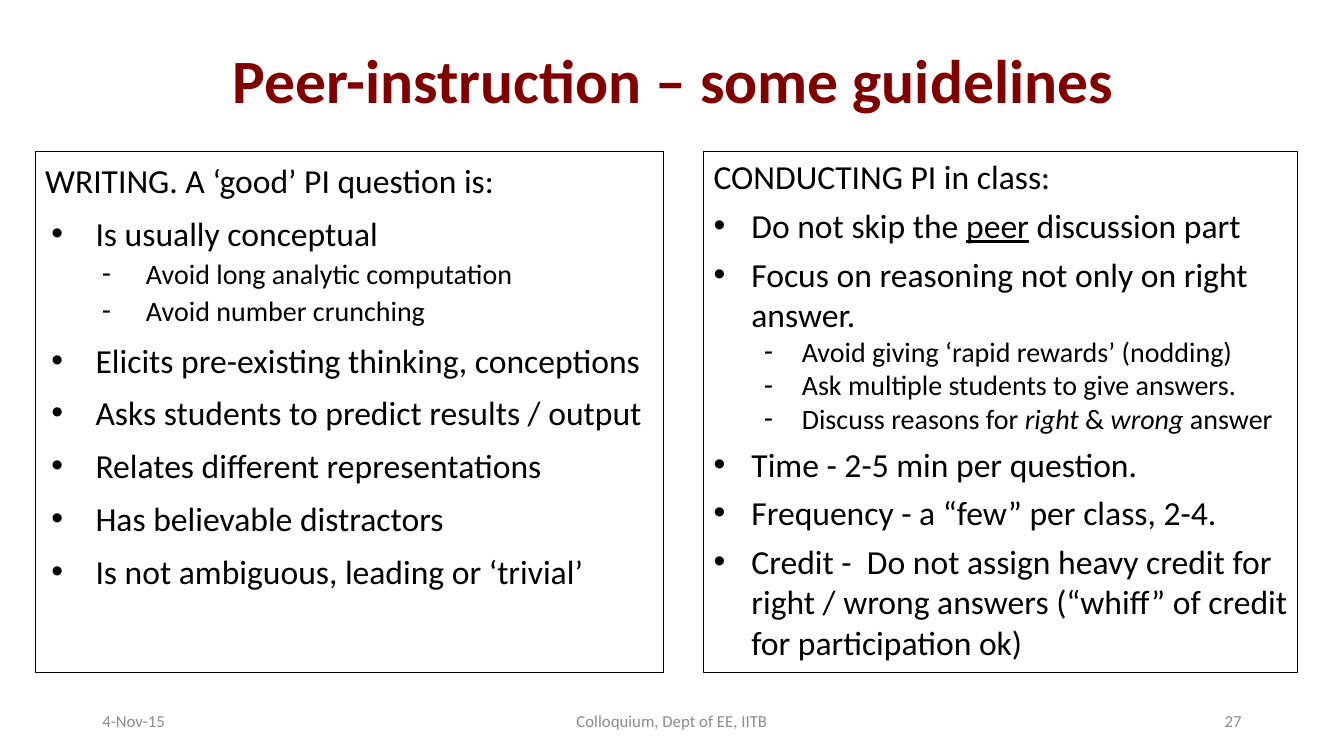
from lxml import etree
from pptx import Presentation
from pptx.dml.color import RGBColor
from pptx.enum.text import MSO_ANCHOR as Anchor, MSO_AUTO_SIZE as AutoSize, PP_ALIGN as Align
from pptx.oxml.ns import qn
from pptx.util import Pt

WRITING = [
    ("heading", "WRITING. A ‘good’ PI question is:"),
    ("bullet", "Is usually conceptual"),
    ("dash", "Avoid long analytic computation"),
    ("dash", "Avoid number crunching"),
    ("bullet", "Elicits pre-existing thinking, conceptions"),
    ("bullet", "Asks students to predict results / output"),
    ("bullet", "Relates different representations"),
    ("bullet", "Has believable distractors"),
    ("bullet", "Is not ambiguous, leading or ‘trivial’"),
]
CONDUCTING = [
    ("heading", "CONDUCTING PI in class:"),
    ("bullet", "Do not skip the ", ("peer", "underline"), " discussion part"),
    ("bullet", "Focus on reasoning not only on right answer."),
    ("dash", "Avoid giving ‘rapid rewards’ (nodding)"),
    ("dash", "Ask multiple students to give answers."),
    ("dash", "Discuss reasons for ", ("right", "italic"), " & ", ("wrong ", "italic"), "answer"),
    ("bullet", "Time - 2-5 min per question."),
    ("bullet", "Frequency - a “few” per class, 2-4."),
    ("bullet", "Credit -  Do not assign heavy credit for right / wrong answers "
               "(“whiff” of credit for participation ok)"),
]
# Each kind: level, left margin, first-line indent
WRITING_INDENTS = {"heading": (0, 18, -18), "bullet": (1, 36, -31.5), "dash": (3, 72, -31.5)}
CONDUCTING_INDENTS = {"heading": (0, 0, 0), "bullet": (0, 27, -27), "dash": (1, 63, -27)}
# Each kind: text size, space before, bullet character
KINDS = {"heading": (24, 0, None), "bullet": (24, 6, "•"), "dash": (20, 0, "-")}


def color(hex_text):
    return RGBColor.from_string(hex_text)


class GuidelinesSlide:
    font_name = "Calibri"
    ink, title_color, footer_color = "000000", "800000", "8C8C8C"

    def __init__(self, presentation):
        self.slide = presentation.slides.add_slide(presentation.slide_layouts[5])

    def style_run(self, run, size, hex_text):
        run.font.name = self.font_name
        run.font.size = Pt(size)
        run.font.color.rgb = color(hex_text)

    def place(self, shape, left, top, width, height):
        shape.left, shape.top = Pt(left), Pt(top)
        shape.width, shape.height = Pt(width), Pt(height)

    def title(self, text, *bounds):
        shape = self.slide.shapes.title
        self.place(shape, *bounds)
        shape.text_frame.text = text
        shape.text_frame.vertical_anchor = Anchor.MIDDLE
        paragraph = shape.text_frame.paragraphs[0]
        paragraph.alignment = Align.CENTER
        paragraph.line_spacing = 0.9
        self.style_run(paragraph.runs[0], 44, self.title_color)
        paragraph.runs[0].font.bold = True

    def text_box(self, *bounds):
        shape = self.slide.shapes.add_textbox(*map(Pt, bounds))
        shape.text_frame.word_wrap = True
        return shape

    def footer(self, text, alignment, left, width):
        frame = self.text_box(left, 500.5, width, 28.75).text_frame
        frame.text = text
        frame.vertical_anchor = Anchor.MIDDLE
        frame.paragraphs[0].alignment = alignment
        self.style_run(frame.paragraphs[0].runs[0], 12, self.footer_color)

    def indent(self, paragraph, level, margin, first_line, bullet):
        """Set level and hanging indent, with a bullet if one is given."""
        paragraph.level = level
        properties = paragraph._p.get_or_add_pPr()
        properties.set("marL", str(Pt(margin)))
        properties.set("indent", str(Pt(first_line)))
        if bullet:
            etree.SubElement(properties, qn("a:buFont")).set("typeface", "Arial")
            etree.SubElement(properties, qn("a:buChar")).set("char", bullet)

    def panel(self, items, indents, left, width, line_spacing, auto_size):
        """Draw an outlined box holding a heading and a two-level list."""
        shape = self.text_box(left, 108, width, 372.2)
        shape.line.color.rgb = color(self.ink)
        shape.line.width = Pt(0.75)
        frame = shape.text_frame
        frame.auto_size = auto_size
        for index, (kind, *parts) in enumerate(items):
            paragraph = frame.add_paragraph() if index else frame.paragraphs[0]
            size, space_before, bullet = KINDS[kind]
            self.indent(paragraph, *indents[kind], bullet)
            paragraph.line_spacing = line_spacing
            paragraph.space_before = Pt(space_before)
            for part in parts:
                text, emphasis = (part, None) if isinstance(part, str) else part
                run = paragraph.add_run()
                run.text = text
                self.style_run(run, size, self.ink)
                if emphasis:
                    setattr(run.font, emphasis, True)


def main():
    presentation = Presentation()
    presentation.slide_width, presentation.slide_height = Pt(960), Pt(540)
    slide = GuidelinesSlide(presentation)
    slide.title("Peer-instruction – some guidelines", 67, 21, 828, 78)
    slide.panel(WRITING, WRITING_INDENTS, 25.2, 448.6, 1.1, AutoSize.NONE)
    slide.footer("4-Nov-15", Align.LEFT, 66, 216)
    slide.footer("Colloquium, Dept of EE, IITB", Align.CENTER, 318, 324)
    slide.footer("27", Align.RIGHT, 678, 216)
    slide.panel(CONDUCTING, CONDUCTING_INDENTS, 502.6, 424.1, 1.0, AutoSize.SHAPE_TO_FIT_TEXT)
    presentation.save("out.pptx")


if __name__ == "__main__":
    main()
